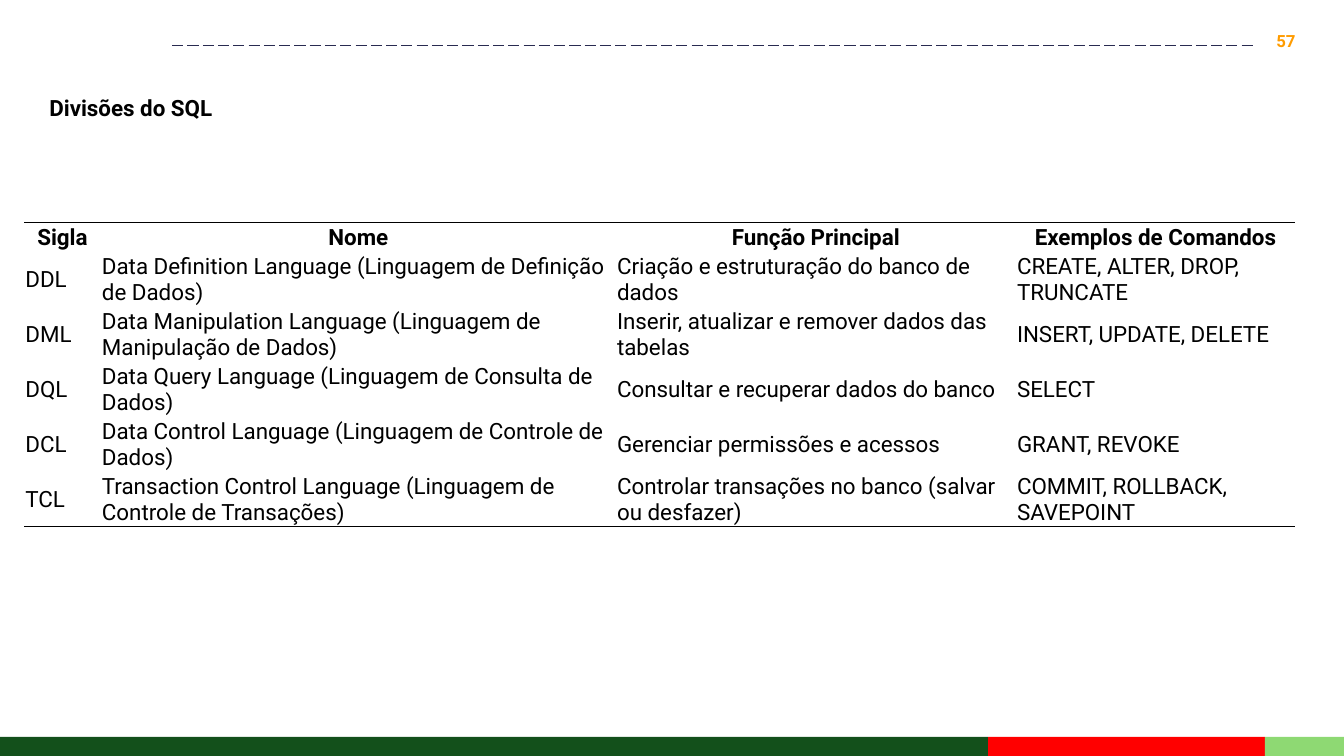
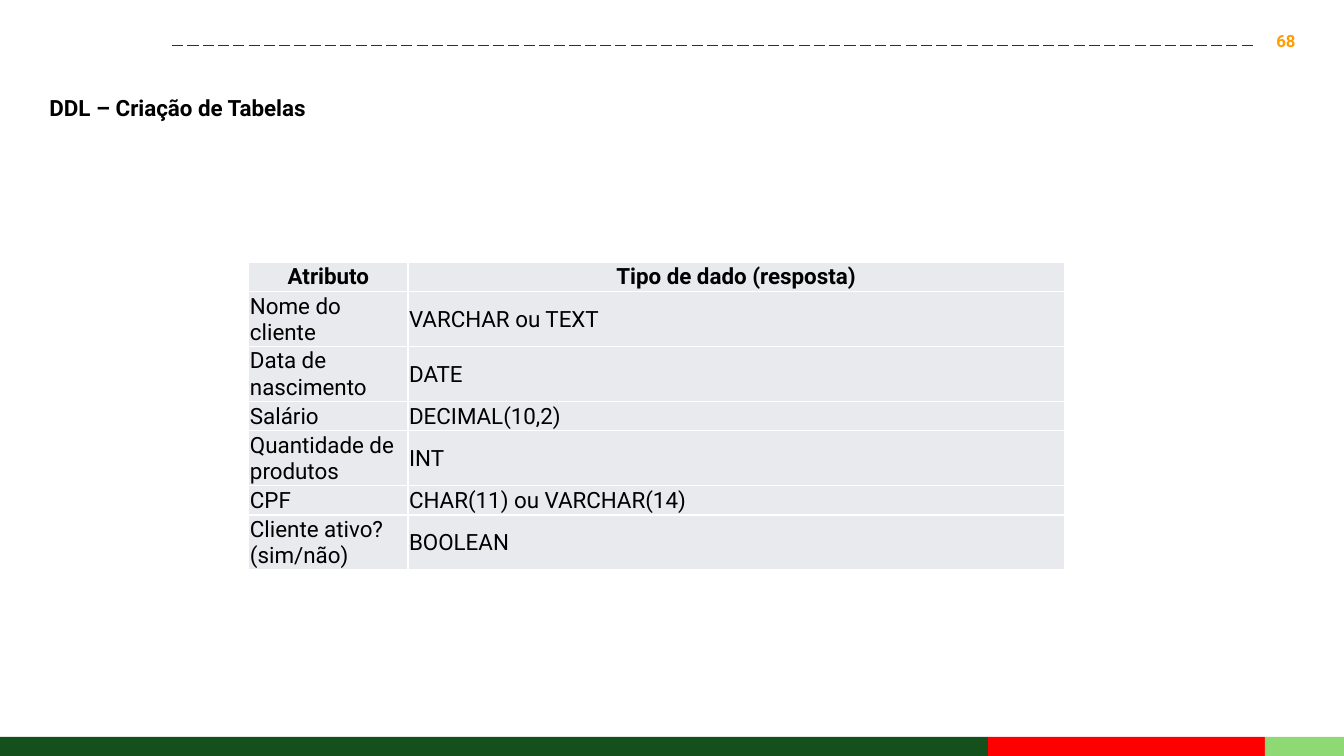
from pptx import Presentation
from pptx.dml.color import RGBColor
from pptx.enum.dml import MSO_LINE
from pptx.enum.shapes import MSO_CONNECTOR, MSO_SHAPE
from pptx.enum.text import MSO_ANCHOR, MSO_AUTO_SIZE, PP_ALIGN
from pptx.oxml.ns import qn
from pptx.util import Cm, Pt
from lxml.etree import SubElement

COLORS = {
    "text": "000000",
    "number": "FF9C00",
    "rule": "292B51",
    "cell": "E8EAED",
    "grid": "FFFFFF",
    "green": "13501B",
    "red": "FF0000",
    "lime": "8ED973",
}
WIDTH, HEIGHT = 33.87, 19.05
BANDS = [("green", 24.9), ("red", 6.98), ("lime", 1.99)]
ROW_HEIGHT = 0.74
FONTS = {
    "title": {"name": "Roboto", "size": Pt(16), "bold": True},
    "number": {"name": "Roboto", "size": Pt(12), "bold": True},
    "head": {"name": "Roboto", "size": Pt(16), "bold": True},
    "body": {"name": "Roboto", "size": Pt(16), "bold": False},
}
CELL = {
    "margin_left": Cm(0.03),
    "margin_right": Cm(0.03),
    "margin_top": Cm(0.03),
    "margin_bottom": 0,
    "vertical_anchor": MSO_ANCHOR.MIDDLE,
}

DIVISIONS = [
    ["Sigla", "Nome", "Função Principal", "Exemplos de Comandos"],
    ["DDL", "Data Definition Language (Linguagem de Definição de Dados)",
     "Criação e estruturação do banco de dados", "CREATE, ALTER, DROP, TRUNCATE"],
    ["DML", "Data Manipulation Language (Linguagem de Manipulação de Dados)",
     "Inserir, atualizar e remover dados das tabelas", "INSERT, UPDATE, DELETE"],
    ["DQL", "Data Query Language (Linguagem de Consulta de Dados)",
     "Consultar e recuperar dados do banco", "SELECT"],
    ["DCL", "Data Control Language (Linguagem de Controle de Dados)",
     "Gerenciar permissões e acessos", "GRANT, REVOKE"],
    ["TCL", "Transaction Control Language (Linguagem de Controle de Transações)",
     "Controlar transações no banco (salvar ou desfazer)", "COMMIT, ROLLBACK, SAVEPOINT"],
]
DATA_TYPES = [
    ["Atributo", "Tipo de dado (resposta)"],
    ["Nome do cliente", "VARCHAR ou TEXT"],
    ["Data de nascimento", "DATE"],
    ["Salário", "DECIMAL(10,2)"],
    ["Quantidade de produtos", "INT"],
    ["CPF", "CHAR(11) ou VARCHAR(14)"],
    ["Cliente ativo? (sim/não)", "BOOLEAN"],
]


def rgb(name):
    return RGBColor.from_string(COLORS[name])


def set_all(obj, values):
    for key, value in values.items():
        setattr(obj, key, value)


def write(p, text, style, color="text", align=PP_ALIGN.LEFT):
    r = p.add_run()
    r.text = text
    p.alignment = align
    set_all(r.font, FONTS[style])
    r.font.color.rgb = rgb(color)


def add_bands(s, left, top, height):
    for color, width in BANDS:
        sp = s.shapes.add_shape(MSO_SHAPE.RECTANGLE, Cm(left), Cm(top), Cm(width), Cm(height))
        sp.shadow.inherit = False
        sp.fill.solid()
        sp.fill.fore_color.rgb = rgb(color)
        sp.line.fill.background()
        left += width


def add_header(s, left, top, width, height, number):
    number_width = 1.3
    right = left + width - number_width
    middle = Cm(top + height / 2 + 0.12)
    line = s.shapes.add_connector(MSO_CONNECTOR.STRAIGHT, Cm(left), middle, Cm(right), middle)
    set_all(line.line, {"width": Pt(1), "dash_style": MSO_LINE.LONG_DASH})
    line.line.color.rgb = rgb("rule")
    SubElement(line._element.spPr, qn("a:effectLst"))
    box = s.shapes.add_textbox(Cm(right), Cm(top), Cm(number_width), Cm(height))
    tf = box.text_frame
    set_all(tf, {"word_wrap": True, "vertical_anchor": MSO_ANCHOR.MIDDLE})
    write(tf.paragraphs[0], str(number), "number", "number", PP_ALIGN.RIGHT)


def set_title(s, left, top, width, height, text):
    title = s.shapes.title
    set_all(title, {"left": Cm(left), "top": Cm(top), "width": Cm(width), "height": Cm(height)})
    tf = title.text_frame
    set_all(tf, {"word_wrap": True, "auto_size": MSO_AUTO_SIZE.NONE,
                 "vertical_anchor": MSO_ANCHOR.TOP})
    p = tf.paragraphs[0]
    p.line_spacing = 1.5
    write(p, text, "title")


def set_borders(cell, colors):
    tc_pr = cell._tc.get_or_add_tcPr()
    for side in "LRTB":
        ln = SubElement(tc_pr, qn(f"a:ln{side}"), w=str(Pt(1)))
        if side in colors:
            fill = SubElement(ln, qn("a:solidFill"))
            SubElement(fill, qn("a:srgbClr"), val=COLORS[colors[side]])
        else:
            SubElement(ln, qn("a:noFill"))


def add_data_table(s, left, top, widths, rows, borders, fill=None):
    frame = s.shapes.add_table(len(rows), len(widths), Cm(left), Cm(top),
                               Cm(sum(widths)), Cm(ROW_HEIGHT * len(rows)))
    table = frame.table
    set_all(table, {"first_row": False, "horz_banding": False})
    for column, width in zip(table.columns, widths):
        column.width = Cm(width)
    for i, row in enumerate(rows):
        style, align = ("body", PP_ALIGN.LEFT) if i else ("head", PP_ALIGN.CENTER)
        for j, text in enumerate(row):
            cell = table.cell(i, j)
            set_all(cell, CELL)
            set_borders(cell, borders(i, len(rows)))
            if fill:
                cell.fill.solid()
                cell.fill.fore_color.rgb = rgb(fill)
            else:
                cell.fill.background()
            write(cell.text_frame.paragraphs[0], text, style, align=align)


def outer_rules(i, count):
    return {0: {"T": "text"}, count - 1: {"B": "text"}}.get(i, {})


def full_grid(i, count):
    return dict.fromkeys("LRTB", "grid")


def add_table_slide(prs, number, title, **table):
    s = prs.slides.add_slide(prs.slide_layouts.get_by_name("Title Only"))
    add_bands(s, 0, 18.57, HEIGHT - 18.57)
    add_header(s, 4.34, 0.51, 28.56, 1.02, number)
    set_title(s, 0.99, 1.9, 20.04, 1.17, title)
    add_data_table(s, **table)


def main():
    prs = Presentation()
    set_all(prs, {"slide_width": Cm(WIDTH), "slide_height": Cm(HEIGHT)})
    add_table_slide(prs, 57, "Divisões do SQL", left=0.61, top=5.61,
                    widths=[1.93, 12.98, 10.08, 7.04], rows=DIVISIONS, borders=outer_rules)
    add_table_slide(prs, 68, "DDL – Criação de Tabelas", left=6.27, top=6.6,
                    widths=[4.01, 16.54], rows=DATA_TYPES, borders=full_grid, fill="cell")
    prs.save("out.pptx")


if __name__ == "__main__":
    main()
